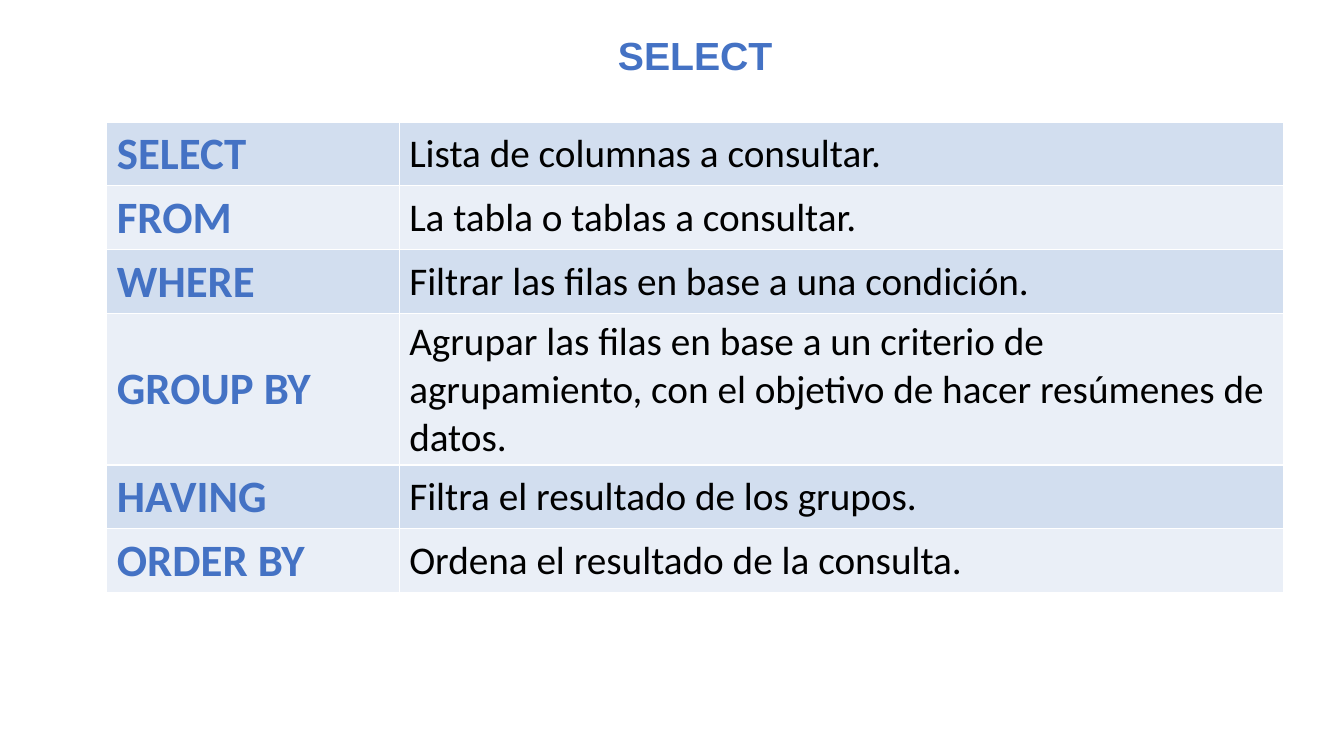
from lxml import etree
from pptx import Presentation
from pptx import util as u
from pptx.dml import color
from pptx.enum import text
from pptx.oxml import ns

COLORS = {"accent": "4472C4", "body": "000000", "border": "FFFFFF",
          "band_dark": "D2DEEF", "band_light": "EAEFF7"}
FORMATS = {
    "title": {"name": "Arial", "size": u.Pt(28), "bold": True, "color": "accent"},
    "clause": {"name": "Calibri", "size": u.Pt(32), "bold": True, "color": "accent"},
    "meaning": {"name": "Calibri", "size": u.Pt(28), "bold": False, "color": "body"},
}
CLAUSES = [
    ("SELECT", "Lista de columnas a consultar."),
    ("FROM", "La tabla o tablas a consultar."),
    ("WHERE", "Filtrar las filas en base a una condición."),
    ("GROUP BY", "Agrupar las filas en base a un criterio de agrupamiento, "
                 "con el objetivo de hacer resúmenes de datos."),
    ("HAVING", "Filtra el resultado de los grupos."),
    ("ORDER BY", "Ordena el resultado de la consulta."),
]


class SlideBuilder:
    """Places styled elements on a grid of 100 columns by 100 rows."""

    def __init__(self, presentation):
        self.column = presentation.slide_width / 100
        self.row = presentation.slide_height / 100
        self.slide = presentation.slides.add_slide(presentation.slide_layouts[6])

    def box(self, left, top, width, height):
        return (u.Emu(round(left * self.column)), u.Emu(round(top * self.row)),
                u.Emu(round(width * self.column)), u.Emu(round(height * self.row)))

    def styled_run(self, paragraph, wording, style):
        run = paragraph.add_run()
        run.text = wording
        for key, value in FORMATS[style].items():
            if key == "color":
                run.font.color.rgb = color.RGBColor.from_string(COLORS[value])
            else:
                setattr(run.font, key, value)

    def title(self, wording, *place):
        frame = self.slide.shapes.add_textbox(*self.box(*place)).text_frame
        frame.word_wrap = True
        paragraph = frame.paragraphs[0]
        paragraph.alignment = text.PP_ALIGN.CENTER
        self.styled_run(paragraph, wording, "title")

    def borders(self, cell):
        properties = cell._tc.get_or_add_tcPr()
        for position, side in enumerate(("lnL", "lnR", "lnT", "lnB")):
            line = etree.Element(ns.qn(f"a:{side}"), w=str(u.Pt(1)))
            fill = etree.SubElement(line, ns.qn("a:solidFill"))
            etree.SubElement(fill, ns.qn("a:srgbClr"), val=COLORS["border"])
            properties.insert(position, line)

    def table(self, entries, left, top, widths, heights):
        place = self.box(left, top, sum(widths), sum(heights))
        table = self.slide.shapes.add_table(len(entries), len(widths), *place).table
        for column, width in zip(table.columns, widths):
            column.width = u.Emu(round(width * self.column))
        for index, (row, height) in enumerate(zip(table.rows, heights)):
            row.height = u.Emu(round(height * self.row))
            band = "band_light" if index % 2 else "band_dark"
            for cell, wording, style in zip(row.cells, entries[index], ("clause", "meaning")):
                cell.vertical_anchor = text.MSO_ANCHOR.MIDDLE
                cell.fill.solid()
                cell.fill.fore_color.rgb = color.RGBColor.from_string(COLORS[band])
                self.borders(cell)
                self.styled_run(cell.text_frame.paragraphs[0], wording, style)


def main():
    presentation = Presentation()
    presentation.slide_width = u.Inches(13.33)
    presentation.slide_height = u.Inches(7.5)
    builder = SlideBuilder(presentation)
    builder.title("SELECT", 34.81, 3.47, 33.83, 7.6)
    heights = [20 if clause == "GROUP BY" else 8.45 for clause, _ in CLAUSES]
    builder.table(CLAUSES, 7.95, 16.13, (21.75, 65.8), heights)
    presentation.save("out.pptx")


if __name__ == "__main__":
    main()
